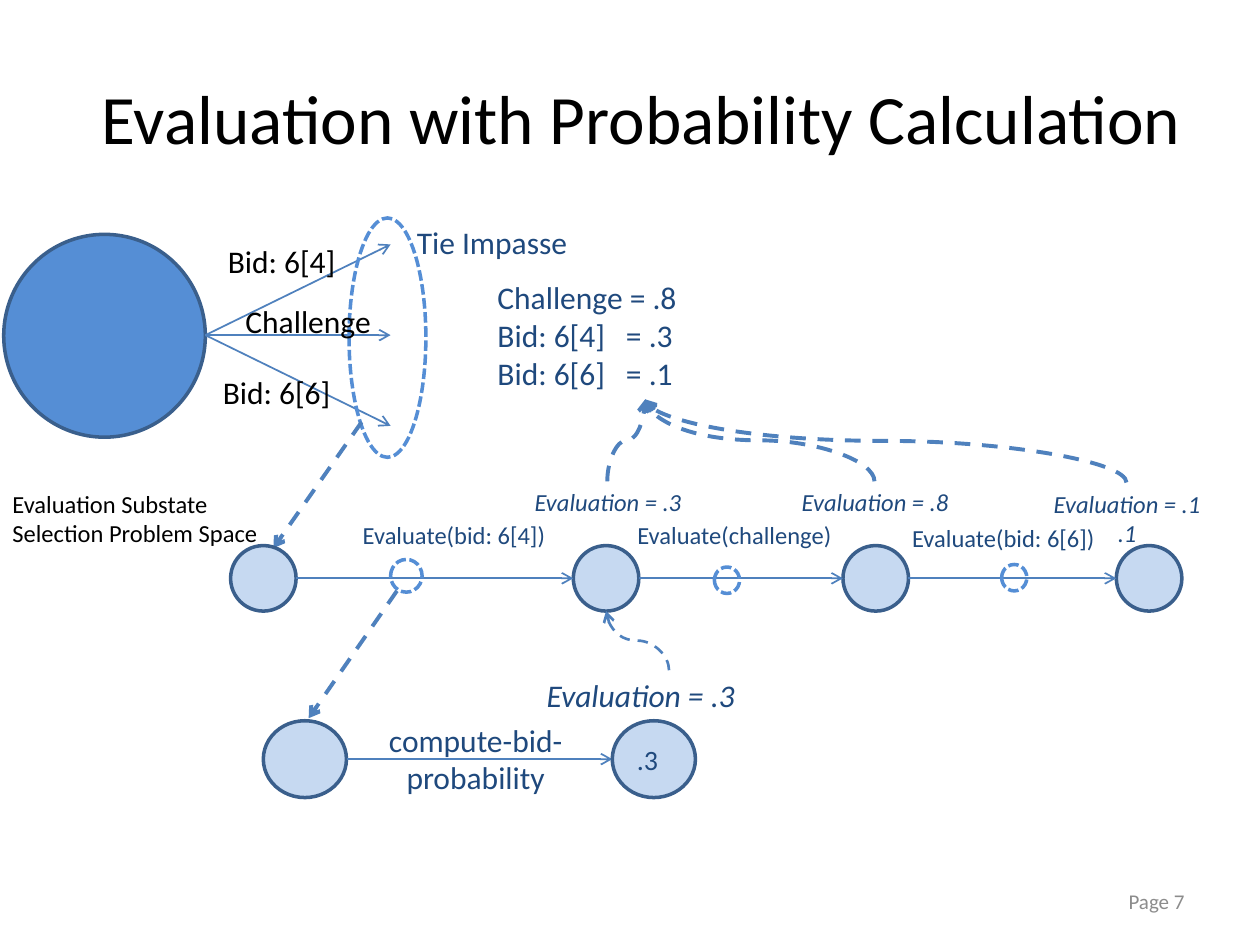
from dataclasses import dataclass

import lxml.etree
import pptx
import pptx.dml.color
import pptx.enum.dml
import pptx.enum.shapes
import pptx.enum.text
import pptx.oxml.ns
import pptx.util

Inches = pptx.util.Inches
ALIGN = pptx.enum.text.PP_ALIGN
ANCHOR = pptx.enum.text.MSO_ANCHOR
CONNECTOR = pptx.enum.shapes.MSO_CONNECTOR
DASH = pptx.enum.dml.MSO_LINE


@dataclass(frozen=True)
class Theme:
    """Colours, font and type sizes of the slide."""
    font: str = "Calibri"
    black: str = "000000"
    navy: str = "1F497D"
    grey: str = "8C8C8C"
    arrow: str = "4F81BD"
    state: str = "558ED5"
    substate: str = "C6D9F1"
    outline: str = "3A5F8C"
    title: float = 39.6
    body: float = 18
    value: float = 16
    label: float = 14
    footer: float = 12


THEME = Theme()


def rgb(value):
    """Turn a hex string into a colour."""
    return pptx.dml.color.RGBColor.from_string(value)


def write(shape, lines, size, color, align=ALIGN.LEFT, anchor=ANCHOR.TOP, italic=False, tab=None):
    """Fill a shape with one paragraph for each line."""
    frame = shape.text_frame
    frame.word_wrap = True
    frame.vertical_anchor = anchor
    font_format = {"name": THEME.font, "size": pptx.util.Pt(size), "italic": italic}
    for index, line in enumerate(lines):
        paragraph = frame.paragraphs[0] if index == 0 else frame.add_paragraph()
        paragraph.alignment = align
        if tab:
            tag = pptx.oxml.ns.qn
            tabs = lxml.etree.SubElement(paragraph._p.get_or_add_pPr(), tag("a:tabLst"))
            lxml.etree.SubElement(tabs, tag("a:tab"), pos=str(Inches(tab)), algn="l")
        run = paragraph.add_run()
        run.text = line
        for name, value in font_format.items():
            setattr(run.font, name, value)
        run.font.color.rgb = rgb(color)


def add_text(slide, left, top, width, height, lines, size, color, **options):
    """Add a text box."""
    box = slide.shapes.add_textbox(Inches(left), Inches(top), Inches(width), Inches(height))
    write(box, lines, size, color, **options)


def add_ellipse(slide, left, top, width, height, fill=None):
    """Add a filled state, or a dashed ring when there is no fill."""
    shape = slide.shapes.add_shape(pptx.enum.shapes.MSO_SHAPE.OVAL, Inches(left), Inches(top),
                                   Inches(width), Inches(height))
    shape.shadow.inherit = False
    shape.line.width = pptx.util.Pt(2)
    if fill:
        shape.fill.solid()
        shape.fill.fore_color.rgb = rgb(fill)
        shape.line.color.rgb = rgb(THEME.outline)
    else:
        shape.fill.background()
        shape.line.color.rgb = rgb(THEME.state)
        shape.line.dash_style = DASH.SQUARE_DOT
    return shape


def add_arrow(slide, start, end, width=1, dashed=False, kind=CONNECTOR.STRAIGHT):
    """Add a connector with an open arrowhead at its end."""
    arrow = slide.shapes.add_connector(kind, *(Inches(value) for value in (*start, *end)))
    arrow.line.width = pptx.util.Pt(width)
    arrow.line.color.rgb = rgb(THEME.arrow)
    if dashed:
        arrow.line.dash_style = DASH.DASH
    tag = pptx.oxml.ns.qn
    line = arrow.line._get_or_add_ln()
    lxml.etree.SubElement(line, tag("a:tailEnd"), type="arrow")
    lxml.etree.SubElement(arrow._element.spPr, tag("a:effectLst"))
    return arrow


def add_rising_curve(slide, start, end, width):
    """Add a dashed S-curve that leaves and arrives vertically, by a quarter turn."""
    (start_x, start_y), (end_x, end_y) = start, end
    middle_x, middle_y = (start_x + end_x) / 2, (start_y + end_y) / 2
    half_rise, half_run = (start_y - end_y) / 2, (end_x - start_x) / 2
    curve = add_arrow(slide, (middle_x - half_rise, middle_y - half_run),
                      (middle_x + half_rise, middle_y + half_run), width, True, CONNECTOR.CURVE)
    curve._element.spPr.find(pptx.oxml.ns.qn("a:xfrm")).set("rot", str(270 * 60000))


def add_heading(slide, left, top, width, height):
    """Place the slide title."""
    add_text(slide, left, top, width, height, ["Evaluation with Probability Calculation"],
             THEME.title, THEME.black, align=ALIGN.CENTER, anchor=ANCHOR.MIDDLE)


def add_footer(slide, left, top, width, height):
    """Place the page number."""
    add_text(slide, left, top, width, height, ["Page 7"], THEME.footer, THEME.grey,
             align=ALIGN.RIGHT, anchor=ANCHOR.MIDDLE)


def add_tie_impasse(slide, left, top):
    """Place the top state, its three operators and the impasse ring."""
    add_ellipse(slide, left, top + 0.13, 1.6, 1.61, THEME.state)
    origin_x, origin_y = left + 1.6, top + 0.93
    for drop in (-0.72, 0, 0.72):
        add_arrow(slide, (origin_x, origin_y), (origin_x + 1.47, origin_y + drop))
    add_ellipse(slide, left + 2.74, top, 0.61, 1.9)
    add_text(slide, left + 3.18, top - 0.01, 1.43, 0.4, ["Tie Impasse"], THEME.body, THEME.navy)
    for x, y, operator in ((1.68, 0.14, "Bid: 6[4]"), (1.82, 0.62, "Challenge"),
                           (1.64, 1.18, "Bid: 6[6]")):
        add_text(slide, left + x, top + y, 1.37, 0.4, [operator], THEME.body, THEME.black)
    add_arrow(slide, (left + 2.84, top + 1.62), (left + 2.14, top + 2.62), 2.25, True)


def add_evaluation_chain(slide, left, top):
    """Place the row of substates with the evaluate operators between them."""
    diameter = 0.52
    middle = top + diameter / 2
    states = [left + offset for offset in (0, 2.72, 4.86, 7.03)]
    for state in states:
        add_ellipse(slide, state, top, diameter, diameter, THEME.substate)
    for state, following in zip(states, states[1:]):
        add_arrow(slide, (state + diameter, middle), (following, middle))
    for x, y, width, height in ((1.27, 0.11, 0.25, 0.26), (3.84, 0.17, 0.2, 0.21),
                                (6.12, 0.15, 0.2, 0.21)):
        add_ellipse(slide, left + x, top + y, width, height)
    for x, y, operator in ((0.95, -0.25, "Evaluate(bid: 6[4])"), (3.13, -0.25, "Evaluate(challenge)"),
                           (5.31, -0.23, "Evaluate(bid: 6[6])")):
        add_text(slide, left + x, top + y, 2.37, 0.34, [operator], THEME.label, THEME.navy)
    add_text(slide, left - 1.83, top - 0.5, 2.37, 0.57,
             ["Evaluation Substate", "Selection Problem Space"], THEME.label, THEME.black)


def add_results(slide, left, top):
    """Place the evaluations and the curves that carry them to the preferences."""
    target = (left + 1.27, top + 1.01)
    for center, y, lines in ((0.97, 1.66, ["Evaluation = .3"]), (3.09, 1.66, ["Evaluation = .8"]),
                             (5.09, 1.67, ["Evaluation = .1", ".1"])):
        add_text(slide, left + center - 1.02, top + y, 2.05, 0.23 * len(lines) + 0.11, lines,
                 THEME.label, THEME.navy, align=ALIGN.CENTER, italic=True)
        add_rising_curve(slide, (left + center, top + y), target, 2.25)
    add_text(slide, left, top, 2.54, 1.01, ["Challenge = .8", "Bid: 6[4]\t= .3", "Bid: 6[6]\t= .1"],
             THEME.body, THEME.navy, tab=1.02)


def add_probability_substate(slide, left, top):
    """Place the lower substate that computes the probability of a bid."""
    width, height = 0.66, 0.61
    middle = top + height / 2
    add_arrow(slide, (left + 1.06, top - 1.03), (left + 0.36, top - 0.02), 2.25, True)
    add_ellipse(slide, left, top, width, height, THEME.substate)
    add_arrow(slide, (left + width, middle), (left + 2.77, middle))
    add_text(slide, left + 0.34, top - 0.05, 2.69, 0.71, ["compute-bid-", "probability"],
             THEME.body, THEME.navy, align=ALIGN.CENTER)
    result = add_ellipse(slide, left + 2.77, top, width, height, THEME.substate)
    write(result, [".3"], THEME.value, THEME.navy, anchor=ANCHOR.MIDDLE)
    add_text(slide, left + 2.15, top - 0.4, 2.16, 0.4, ["Evaluation = .3"],
             THEME.body, THEME.navy, italic=True)
    add_rising_curve(slide, (left + 3.22, top - 0.4), (left + 2.72, top - 0.87), 1.5)


def main():
    """Build the slide and save it."""
    presentation = pptx.Presentation()
    presentation.slide_width, presentation.slide_height = Inches(10), Inches(7.5)
    slide = presentation.slides.add_slide(presentation.slide_layouts[6])
    add_heading(slide, 0.22, 0.3, 9.74, 1.25)
    add_footer(slide, 7.17, 6.95, 2.33, 0.4)
    add_tie_impasse(slide, 0.03, 1.73)
    add_evaluation_chain(slide, 1.83, 4.33)
    add_probability_substate(slide, 2.09, 5.72)
    add_results(slide, 3.85, 2.16)
    presentation.save("out.pptx")


if __name__ == "__main__":
    main()
